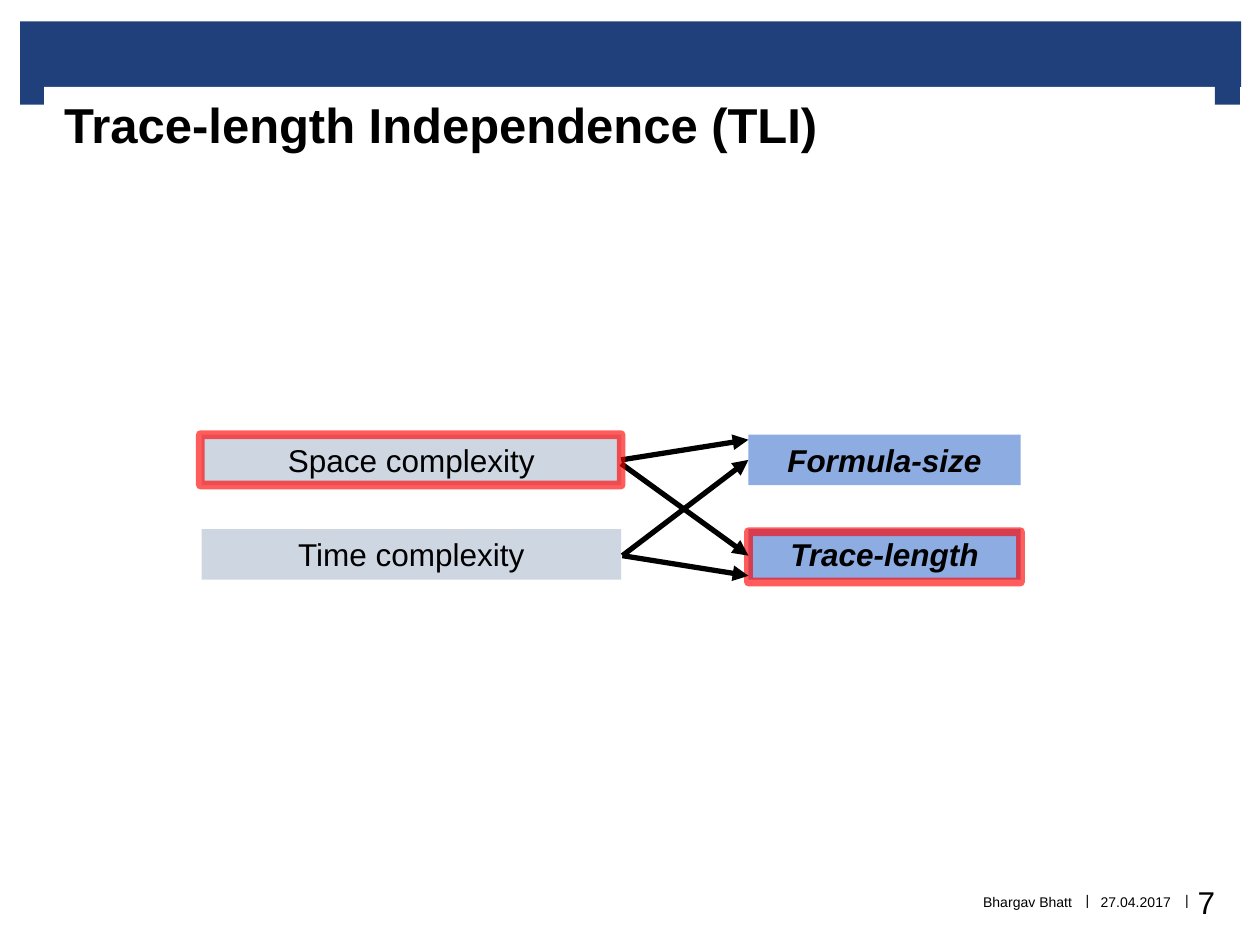
from dataclasses import dataclass

import pptx
import pptx.dml.color
import pptx.enum.shapes
import pptx.enum.text
import pptx.oxml
import pptx.oxml.ns
import pptx.util
from pptx.util import Inches

COLORS = {
    "navy": "1F407A",
    "white": "FFFFFF",
    "black": "000000",
    "grey": "CED6E2",
    "blue": "8DACE2",
    "red": "FF0000",
}
ALIGN = pptx.enum.text.PP_ALIGN
ANCHOR = pptx.enum.text.MSO_ANCHOR
FONT = "Arial"
LEFT, RIGHT = 1.6, 5.94
WIDE, SLIM = 3.33, 2.16
UPPER, LOWER = 3.45, 4.2
HIGH = 0.4


@dataclass
class Area:
    x: float
    y: float
    w: float
    h: float


@dataclass
class Label:
    text: str
    size: float
    align: ALIGN = ALIGN.CENTER
    bold: bool = False
    slant: bool = False


@dataclass
class Box:
    area: Area
    fill: str
    label: Label


@dataclass
class Arrow:
    start: tuple[float, float]
    end: tuple[float, float]


def get_color(name: str):
    return pptx.dml.color.RGBColor.from_string(COLORS[name])


def add_tag(host, tag: str, **attrs: str):
    node = pptx.oxml.ns.qn(tag)
    child = host.makeelement(node, attrs)
    host.append(child)
    return child


def write(frame, label: Label) -> None:
    para = frame.paragraphs[0]
    para.alignment = label.align
    run = para.add_run()
    run.text = label.text
    font = run.font
    font.name = FONT
    font.size = pptx.util.Pt(label.size)
    font.bold = label.bold
    font.italic = label.slant
    font.color.rgb = get_color("black")


def set_pad(frame, left: float, top: float, right: float, base: float) -> None:
    frame.margin_left = Inches(left)
    frame.margin_top = Inches(top)
    frame.margin_right = Inches(right)
    frame.margin_bottom = Inches(base)


def add_rect(slide, area: Area, fill: str | None):
    kind = pptx.enum.shapes.MSO_SHAPE.RECTANGLE
    rect = slide.shapes.add_shape(
        kind, Inches(area.x), Inches(area.y), Inches(area.w), Inches(area.h)
    )
    rect.shadow.inherit = False
    if fill:
        rect.fill.solid()
        rect.fill.fore_color.rgb = get_color(fill)
        rect.line.fill.background()
    else:
        rect.fill.background()
    return rect


def add_box(slide, box: Box):
    frame = add_rect(slide, box.area, box.fill).text_frame
    frame.word_wrap = True
    frame.vertical_anchor = ANCHOR.TOP
    write(frame, box.label)
    return frame


def add_ring(slide, area: Area) -> None:
    line = add_rect(slide, area, None).line
    line.width = pptx.util.Pt(5)
    line.color.rgb = get_color("red")
    tint = line._ln.find(".//" + pptx.oxml.ns.qn("a:srgbClr"))
    add_tag(tint, "a:alpha", val="64000")


def add_arrow(slide, arrow: Arrow) -> None:
    ends = [Inches(value) for value in (*arrow.start, *arrow.end)]
    kind = pptx.enum.shapes.MSO_CONNECTOR.STRAIGHT
    link = slide.shapes.add_connector(kind, *ends)
    link.line.width = pptx.util.Pt(3)
    link.line.color.rgb = get_color("black")
    add_tag(link.line._ln, "a:tailEnd", type="triangle")
    add_tag(link._element.spPr, "a:effectLst")


def add_note(slide, area: Area, label: Label, side: float, edge: float) -> None:
    note = slide.shapes.add_textbox(
        Inches(area.x), Inches(area.y), Inches(area.w), Inches(area.h)
    )
    frame = note.text_frame
    frame.word_wrap = False
    frame.vertical_anchor = ANCHOR.MIDDLE
    set_pad(frame, side, edge, side, edge)
    write(frame, label)


def main() -> None:
    deck = pptx.Presentation()
    deck.slide_width, deck.slide_height = Inches(10), Inches(7.5)
    slide = deck.slides.add_slide(deck.slide_layouts[6])

    add_rect(slide, Area(0.16, 0.17, 9.69, 0.52), "navy")
    for x in (0.16, 9.64):
        add_rect(slide, Area(x, 0.65, 0.2, 0.18), "navy")

    for x in (9.36, 8.57):
        add_note(slide, Area(x, 6.89, 0.12, 0.51), Label("|", 8), 0.04, 0.05)
    notes = (
        (8.68, 0.67, Label("27.04.2017", 8)),
        (5, 3.51, Label("Bhargav Bhatt", 8, ALIGN.RIGHT)),
        (9.43, 0.29, Label("7", 18)),
    )
    for x, width, label in notes:
        add_note(slide, Area(x, 6.9, width, 0.51), label, 0, 0)

    title = Label("Trace-length Independence (TLI)", 28, ALIGN.LEFT, True)
    head = add_box(slide, Box(Area(0.35, 0.69, 9.29, 1.06), "white", title))
    set_pad(head, 0.16, 0.06, 0.16, 0)

    rows = (
        (UPPER, "Space complexity", "Formula-size"),
        (LOWER, "Time complexity", "Trace-length"),
    )
    for y, cost, factor in rows:
        add_box(slide, Box(Area(LEFT, y, WIDE, HIGH), "grey", Label(cost, 18)))
        bold = Label(factor, 18, bold=True, slant=True)
        add_box(slide, Box(Area(RIGHT, y, SLIM, HIGH), "blue", bold))

    add_ring(slide, Area(RIGHT, 4.22, SLIM, HIGH))
    arrows = (
        Arrow((4.94, 4.41), (RIGHT, 3.65)),
        Arrow((4.94, 4.41), (RIGHT, 4.57)),
        Arrow((4.93, 3.68), (RIGHT, 4.41)),
        Arrow((4.93, 3.65), (RIGHT, 3.49)),
    )
    for arrow in arrows:
        add_arrow(slide, arrow)
    add_ring(slide, Area(1.59, UPPER, 3.34, HIGH))

    deck.save("out.pptx")


if __name__ == "__main__":
    main()
